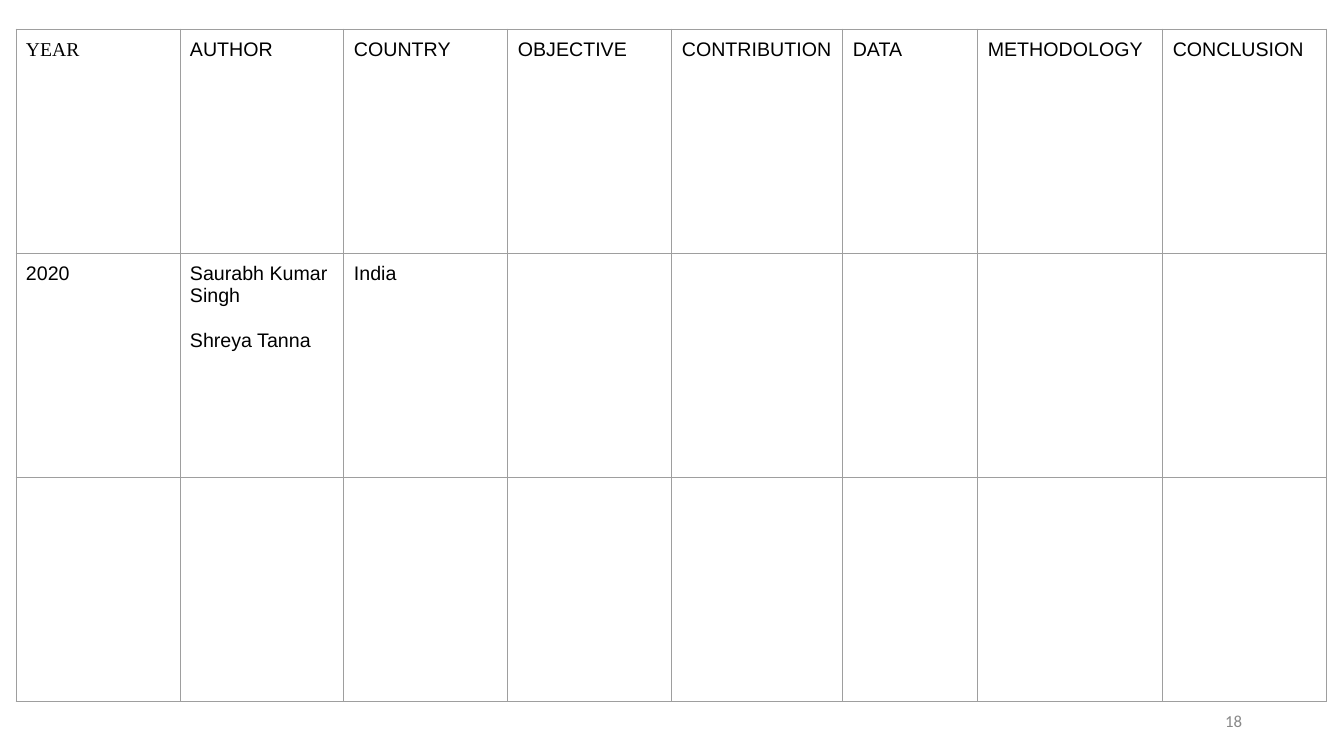
from dataclasses import dataclass

from lxml import etree
from pptx import Presentation
from pptx.dml.color import RGBColor
from pptx.enum.text import MSO_ANCHOR, PP_ALIGN
from pptx.oxml.ns import qn
from pptx.table import _Cell
from pptx.text.text import _Paragraph
from pptx.util import Emu, Pt

MIDDLE = MSO_ANCHOR.MIDDLE
RIGHT = PP_ALIGN.RIGHT

BLACK = RGBColor(0x00, 0x00, 0x00)
PAGE_GRAY = RGBColor(0x88, 0x88, 0x88)
BORDER_GRAY = RGBColor(0x9E, 0x9E, 0x9E)

EMU_PER_INCH = 914400
PIXELS_PER_INCH = 100.8
BORDER_SIDES = ("a:lnL", "a:lnR", "a:lnT", "a:lnB")
BORDER_WIDTH = Pt(0.75)
CELL_MARGIN = 10
AUTHOR_GAP = Pt(16)


@dataclass(frozen=True)
class TextStyle:
    font: str
    size: int
    color: RGBColor


@dataclass(frozen=True)
class Column:
    heading: str
    width: int = 164
    entries: tuple[str, ...] = ()
    heading_font: str = "Arial"


COLUMNS = (
    Column("YEAR", entries=("2020",), heading_font="Times New Roman"),
    Column("AUTHOR", entries=("Saurabh Kumar Singh", "Shreya Tanna")),
    Column("COUNTRY", entries=("India",)),
    Column("OBJECTIVE"),
    Column("CONTRIBUTION", width=171),
    Column("DATA", width=135),
    Column("METHODOLOGY", width=185),
    Column("CONCLUSION"),
)
ROW_COUNT = 3
ROW_HEIGHT = 224
ENTRY_STYLE = TextStyle("Arial", 14, BLACK)
PAGE_STYLE = TextStyle("Calibri", 12, PAGE_GRAY)


def px(pixels: int) -> Emu:
    return Emu(round(pixels * EMU_PER_INCH / PIXELS_PER_INCH))


def add_run(paragraph: _Paragraph, text: str, style: TextStyle) -> None:
    run = paragraph.add_run()
    run.text = text
    run.font.name = style.font
    run.font.size = Pt(style.size)
    run.font.color.rgb = style.color


def format_cell(cell: _Cell) -> None:
    cell.margin_left = cell.margin_right = px(CELL_MARGIN)
    cell.margin_top = cell.margin_bottom = px(CELL_MARGIN)
    properties = cell._tc.get_or_add_tcPr()
    for side in BORDER_SIDES:
        line = etree.SubElement(properties, qn(side), w=str(BORDER_WIDTH))
        fill = etree.SubElement(line, qn("a:solidFill"))
        etree.SubElement(fill, qn("a:srgbClr"), val=str(BORDER_GRAY))
    cell.fill.background()


def write_cell(cell: _Cell, lines: tuple[str, ...], style: TextStyle) -> None:
    text_frame = cell.text_frame
    for index, line in enumerate(lines):
        paragraph = text_frame.add_paragraph() if index else text_frame.paragraphs[0]
        if index:
            paragraph.space_before = AUTHOR_GAP
        add_run(paragraph, line, style)


presentation = Presentation()
presentation.slide_width = px(1344)
presentation.slide_height = px(756)
slide = presentation.slides.add_slide(presentation.slide_layouts[6])

page_box = slide.shapes.add_textbox(px(950), px(701), px(302), px(40))
page_frame = page_box.text_frame
page_frame.word_wrap = True
page_frame.vertical_anchor = MIDDLE
page_paragraph = page_frame.paragraphs[0]
page_paragraph.alignment = RIGHT
add_run(page_paragraph, "18", PAGE_STYLE)

table_width = sum(column.width for column in COLUMNS)
literature_table = slide.shapes.add_table(
    ROW_COUNT, len(COLUMNS), px(16), px(29), px(table_width), px(ROW_COUNT * ROW_HEIGHT)
).table
literature_table.first_row = False
literature_table.horz_banding = False
for row in literature_table.rows:
    row.height = px(ROW_HEIGHT)
for cell in literature_table.iter_cells():
    format_cell(cell)
for index, column in enumerate(COLUMNS):
    literature_table.columns[index].width = px(column.width)
    heading_style = TextStyle(column.heading_font, 14, BLACK)
    write_cell(literature_table.cell(0, index), (column.heading,), heading_style)
    write_cell(literature_table.cell(1, index), column.entries, ENTRY_STYLE)

presentation.save("out.pptx")
